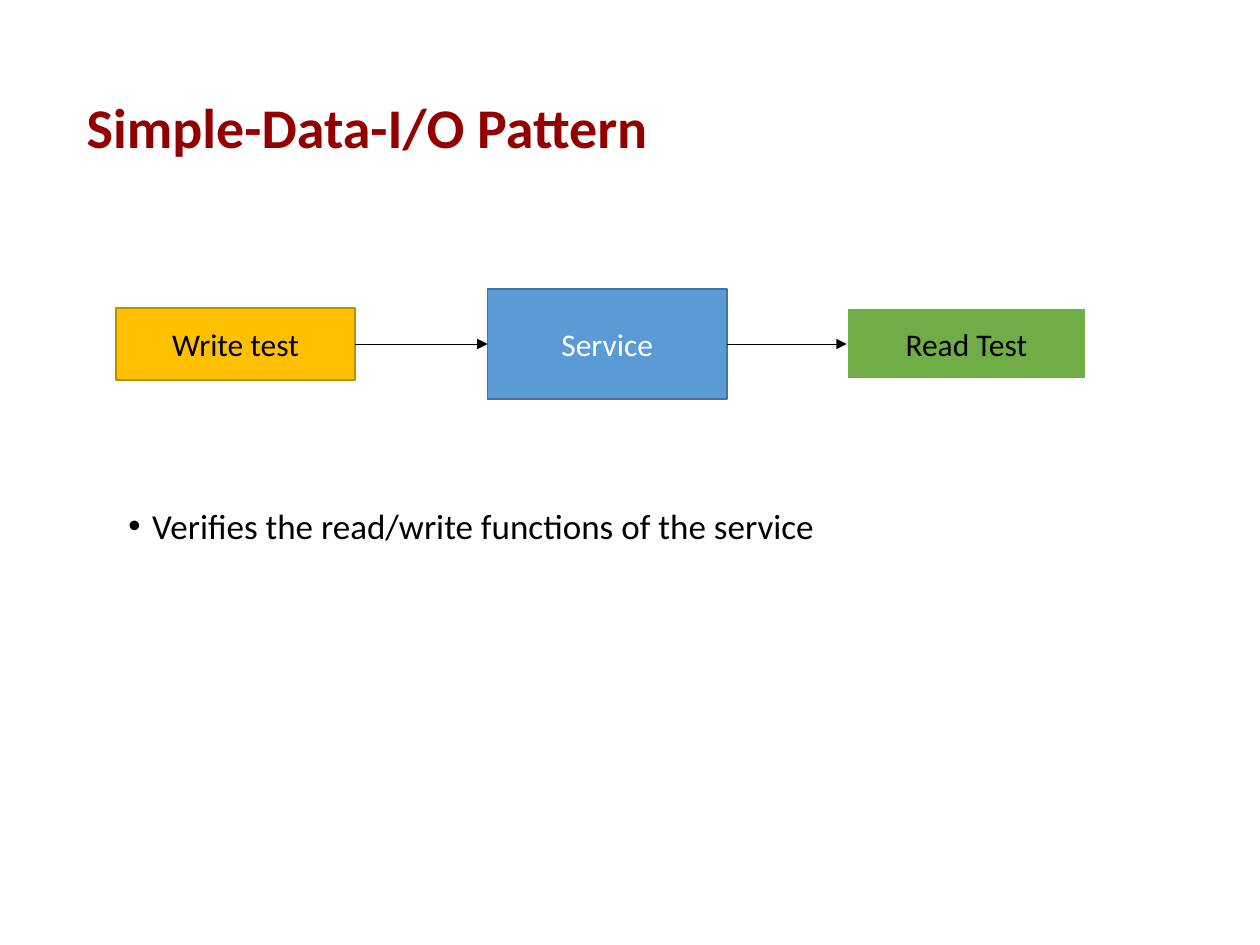
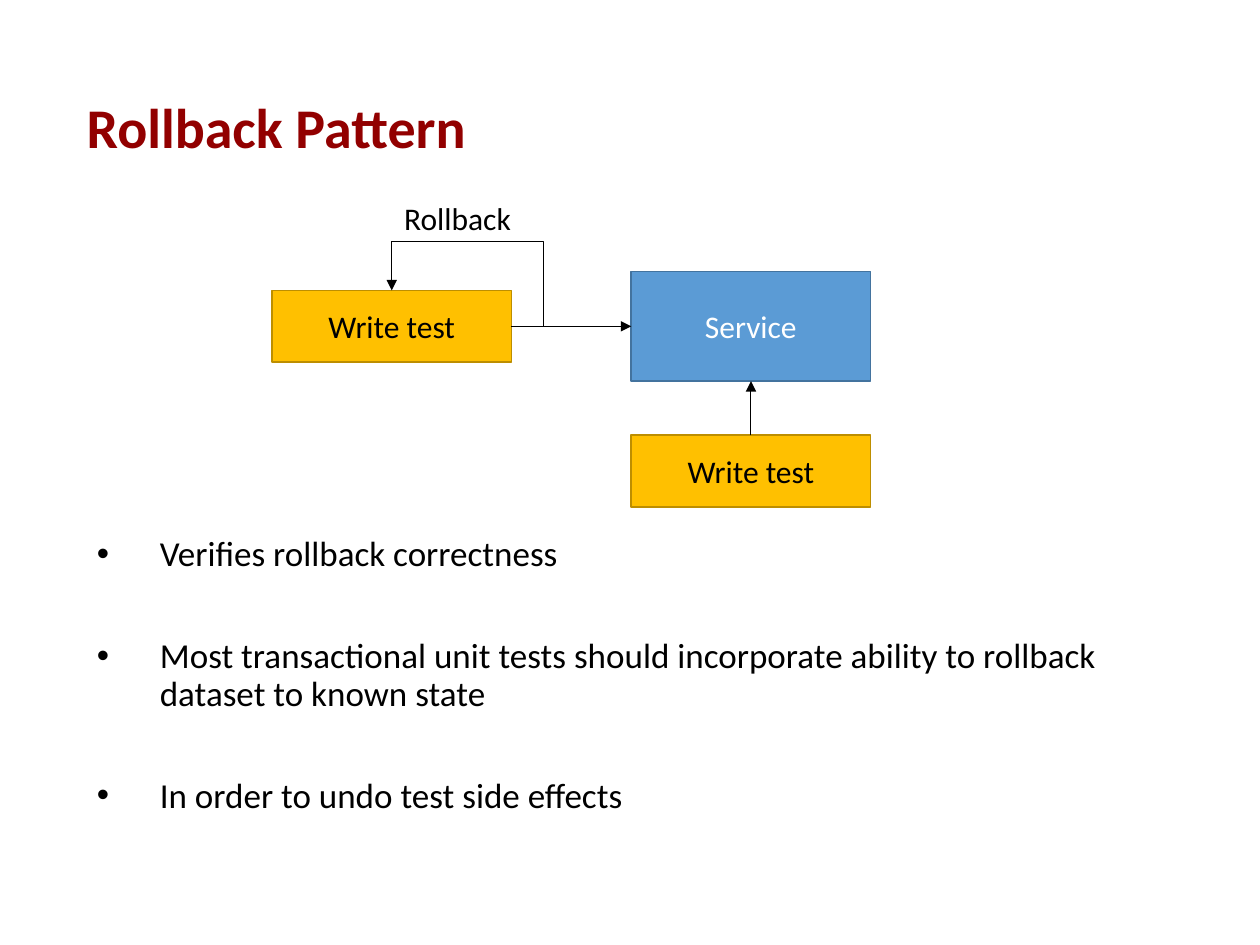
from lxml import etree
from pptx import Presentation
from pptx.dml.color import RGBColor
from pptx.enum.shapes import MSO_CONNECTOR, MSO_SHAPE
from pptx.enum.text import MSO_ANCHOR, PP_ALIGN
from pptx.oxml.ns import qn
from pptx.util import Inches, Pt

FONT = "Calibri"
DARK_RED = RGBColor(0x92, 0x00, 0x00)
BLACK = RGBColor(0x00, 0x00, 0x00)
WHITE = RGBColor(0xFF, 0xFF, 0xFF)
BLUE = RGBColor(0x5B, 0x9B, 0xD5)
DARK_BLUE = RGBColor(0x43, 0x73, 0x9E)
AMBER = RGBColor(0xFF, 0xC0, 0x00)
DARK_AMBER = RGBColor(0xBD, 0x8E, 0x00)
GREEN = RGBColor(0x70, 0xAD, 0x47)

BOX_WIDTH, TEST_HEIGHT, SERVICE_HEIGHT = 1.9, 0.57, 0.87
TOP, LEFT, BOTTOM, RIGHT = range(4)  # connection sites of a rectangle


def set_font(paragraph, size, color=BLACK, bold=False):
    font = paragraph.font
    font.name, font.size, font.bold = FONT, Pt(size), bold
    font.color.rgb = color


def add_text_box(slide, left, top, width, height, wrap=True):
    box = slide.shapes.add_textbox(*map(Inches, (left, top, width, height)))
    box.text_frame.word_wrap = wrap
    return box.text_frame


def add_titled_slide(presentation, title):
    slide = presentation.slides.add_slide(presentation.slide_layouts[6])
    frame = add_text_box(slide, 0.59, 0.6, 8.67, 0.87)
    frame.vertical_anchor = MSO_ANCHOR.MIDDLE
    paragraph = frame.paragraphs[0]
    paragraph.text = title
    paragraph.line_spacing = 0.9
    set_font(paragraph, 32, DARK_RED, bold=True)
    return slide


def add_bullets(slide, area, items, indent, gap=0):
    frame = add_text_box(slide, *area)
    for index, item in enumerate(items):
        paragraph = frame.add_paragraph() if index else frame.paragraphs[0]
        paragraph.text = item
        paragraph.line_spacing = 0.9
        paragraph.space_before = Pt(gap if index else 0)
        properties = paragraph._p.get_or_add_pPr()
        properties.set("marL", str(Inches(indent)))
        properties.set("indent", str(Inches(-indent)))
        etree.SubElement(properties, qn("a:buFont"), typeface="Arial")
        etree.SubElement(properties, qn("a:buChar"), char="•")
        set_font(paragraph, 20)


def add_box(slide, text, left, middle, height, fill, line, line_width=1, color=BLACK):
    """Add a labelled rectangle centred vertically on middle."""
    shape = slide.shapes.add_shape(
        MSO_SHAPE.RECTANGLE, Inches(left), Inches(middle - height / 2),
        Inches(BOX_WIDTH), Inches(height))
    shape.shadow.inherit = False
    shape.fill.solid()
    shape.fill.fore_color.rgb = fill
    shape.line.color.rgb = line
    shape.line.width = Pt(line_width)
    frame = shape.text_frame
    frame.vertical_anchor = MSO_ANCHOR.MIDDLE
    paragraph = frame.paragraphs[0]
    paragraph.text = text
    paragraph.alignment = PP_ALIGN.CENTER
    set_font(paragraph, 18, color)
    return shape


def add_service(slide, left, middle):
    return add_box(slide, "Service", left, middle, SERVICE_HEIGHT,
                   BLUE, DARK_BLUE, color=WHITE)


def add_write_test(slide, left, middle):
    return add_box(slide, "Write test", left, middle, TEST_HEIGHT, AMBER, DARK_AMBER)


def add_arrow(slide, start, start_site, end, end_site, kind=MSO_CONNECTOR.STRAIGHT):
    arrow = slide.shapes.add_connector(kind, 0, 0, 0, 0)
    arrow.begin_connect(start, start_site)
    arrow.end_connect(end, end_site)
    arrow.line.color.rgb = BLACK
    arrow.line.width = Pt(0.5)
    etree.SubElement(arrow.line._get_or_add_ln(), qn("a:tailEnd"), type="triangle")
    etree.SubElement(arrow._element.spPr, qn("a:effectLst"))
    return arrow


def add_loop_arrow(slide, shape):
    """Lead an arrow from the right side of a box over it to its top."""
    arrow = add_arrow(slide, shape, RIGHT, shape, TOP, MSO_CONNECTOR.ELBOW)
    geometry = arrow._element.spPr.find(qn("a:prstGeom"))
    geometry.set("prst", "bentConnector4")
    adjustments = geometry.find(qn("a:avLst"))
    if adjustments is None:
        adjustments = etree.SubElement(geometry, qn("a:avLst"))
    for name, value in (("adj1", -26400), ("adj2", 234900)):
        etree.SubElement(adjustments, qn("a:gd"), name=name, fmla=f"val {value}")


def add_simple_data_slide(presentation):
    slide = add_titled_slide(presentation, "Simple-Data-I/O Pattern")
    add_bullets(slide, (0.92, 3.99, 8.1, 3.51),
                ["Verifies the read/write functions of the service"], 0.19)
    middle = 2.73
    service = add_service(slide, 3.87, middle)
    write_test = add_write_test(slide, 0.92, middle)
    read_test = add_box(slide, "Read Test", 6.72, middle, TEST_HEIGHT,
                        GREEN, WHITE, line_width=1.5)
    add_arrow(slide, write_test, RIGHT, service, LEFT)
    add_arrow(slide, service, RIGHT, read_test, LEFT)


def add_rollback_slide(presentation):
    slide = add_titled_slide(presentation, "Rollback Pattern")
    add_bullets(slide, (0.67, 4.21, 8.99, 2.54), [
        "Verifies rollback correctness",
        "Most transactional unit tests should incorporate ability to rollback "
        "dataset to known state",
        "In order to undo test side effects",
    ], 0.5, gap=36.5)
    middle, service_left = 2.59, 5.01
    write_test = add_write_test(slide, 2.16, middle)
    service = add_service(slide, service_left, middle)
    lower_test = add_write_test(slide, service_left, 3.74)
    add_arrow(slide, write_test, RIGHT, service, LEFT)
    add_arrow(slide, lower_test, TOP, service, BOTTOM)
    add_loop_arrow(slide, write_test)
    label = add_text_box(slide, 3.11, 1.53, 1.17, 0.4, wrap=False).paragraphs[0]
    label.text = "Rollback"
    set_font(label, 18)


def main():
    presentation = Presentation()
    presentation.slide_width = Inches(10)
    presentation.slide_height = Inches(7.5)
    add_simple_data_slide(presentation)
    add_rollback_slide(presentation)
    presentation.save("out.pptx")


if __name__ == "__main__":
    main()
